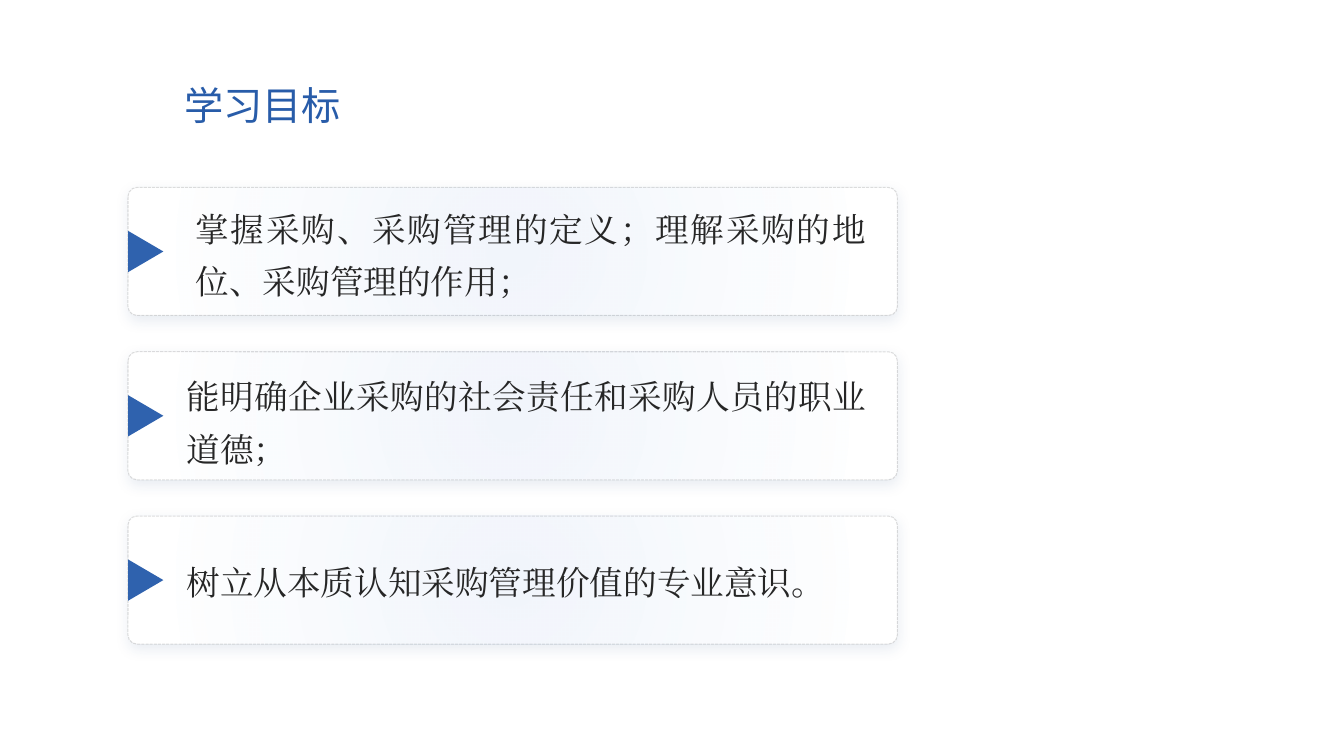
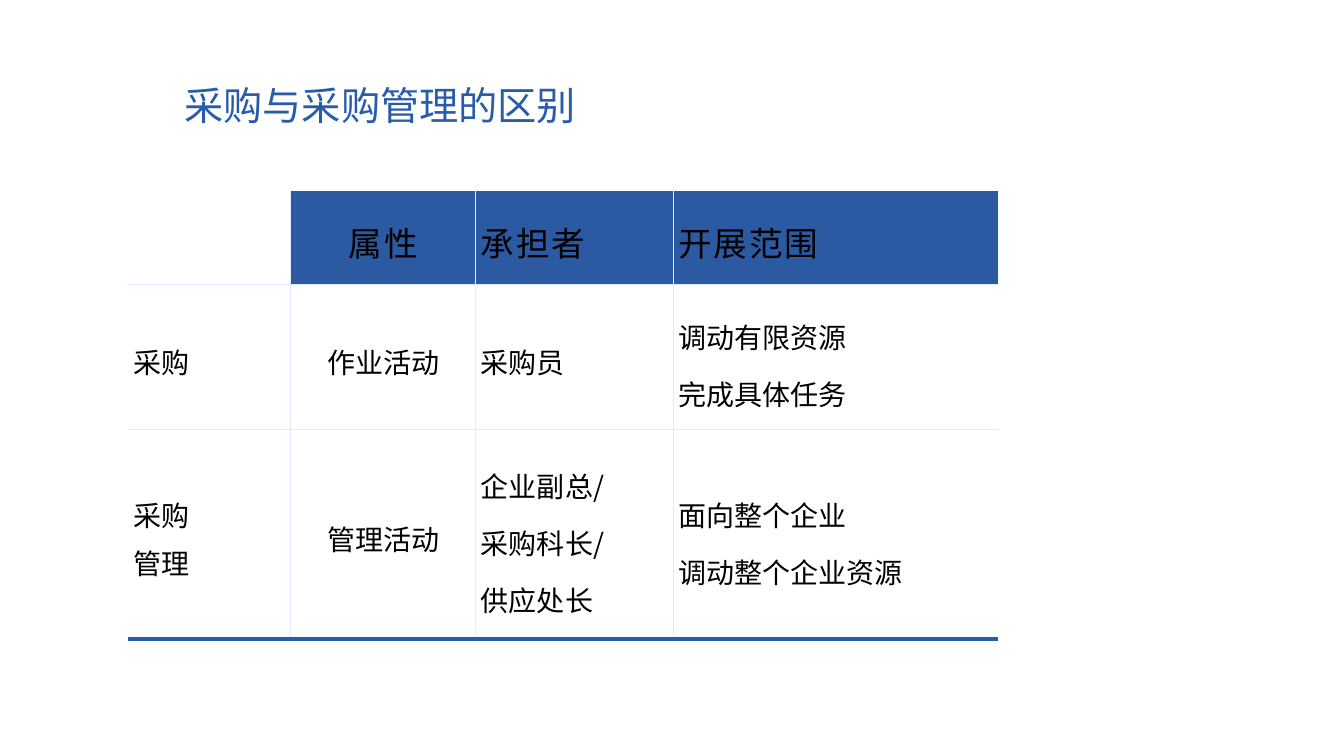
from pptx import Presentation
from pptx.dml.color import RGBColor
from pptx.enum.dml import MSO_LINE
from pptx.enum.shapes import MSO_SHAPE
from pptx.enum.text import MSO_ANCHOR, PP_ALIGN
from pptx.oxml import parse_xml
from pptx.oxml.ns import nsdecls, qn
from pptx.util import Inches, Pt

ROUNDED, TRIANGLE = MSO_SHAPE.ROUNDED_RECTANGLE, MSO_SHAPE.ISOSCELES_TRIANGLE
MIDDLE, BOTTOM = MSO_ANCHOR.MIDDLE, MSO_ANCHOR.BOTTOM
LEFT, CENTER, JUSTIFY = PP_ALIGN.LEFT, PP_ALIGN.CENTER, PP_ALIGN.JUSTIFY
SHORT_DASH = MSO_LINE.SQUARE_DOT

SANS, TABLE_FONT, SERIF = "Noto Sans CJK SC", "Noto Sans CJK JP", "Times New Roman"
BLUE, HEADER_BLUE, MARKER_BLUE = "285CA9", "2B5AA2", "2F62AE"
GLOW, SHADOW, GRAY, RULE = "769EDA", "234A82", "595959", "DDEDFF"
INK, BLACK, WHITE = "262626", "000000", "FFFFFF"
NO_STYLE = "{2D5ABB26-0587-4C30-8999-92F81FD0307C}"

MARGIN = 1.27
CARD_TOP, CARD_WIDTH, CARD_HEIGHT, CARD_STEP = 1.86, 7.63, 1.27, 1.63
MARKER_WIDTH, MARKER_HEIGHT = 0.41, 0.35
TEXT_RIGHT = 8.59

GOALS_TITLE = "学习目标"
# text, left, top, height, line spacing
GOALS = [
    ("掌握采购、采购管理的定义；理解采购的地位、采购管理的作用；", 1.94, 1.81, 1.18, 1.3),
    ("能明确企业采购的社会责任和采购人员的职业道德；", 1.85, 3.6, 1.05, 1.3),
    ("树立从本质认知采购管理价值的专业意识。", 1.85, 5.37, 0.6, 1),
]

COMPARE_TITLE = "采购与采购管理的区别"
COLUMNS = [1.61, 1.84, 1.96, 3.22]
ROWS = [0.93, 1.44, 2.08]
COMPARE = [
    [[], ["属性"], ["承担者"], ["开展范围"]],
    [["采购"], ["作业活动"], ["采购员"], ["调动有限资源", "完成具体任务"]],
    [["采购", "管理"], ["管理活动"], ["企业副总/", "采购科长/", "供应处长"],
     ["面向整个企业", "调动整个企业资源"]],
]


def rgb(value):
    return RGBColor.from_string(value)


def add_span(para, text, size, color, font):
    """Add a run whose Latin and East Asian fonts agree."""
    span = para.add_run()
    span.text = text
    span.font.size, span.font.name = Pt(size), font
    span.font.color.rgb = rgb(color)
    east_asian = span._r.get_or_add_rPr().makeelement(qn("a:ea"), {"typeface": font})
    span.font._element.find(qn("a:latin")).addnext(east_asian)
    return span


def add_page(deck, title, width):
    page = deck.slides.add_slide(deck.slide_layouts[5])
    box = page.shapes.title
    box.left, box.top, box.width, box.height = map(Inches, (1.73, 0.72, width, 0.64))
    box.text_frame.vertical_anchor = MIDDLE
    para = box.text_frame.paragraphs[0]
    para.alignment = LEFT
    add_span(para, title, 28, BLUE, SANS)
    return page


def add_plain_shape(page, kind, left, top, width, height, color=None):
    shape = page.shapes.add_shape(kind, *map(Inches, (left, top, width, height)))
    shape.shadow.inherit = False
    shape.line.fill.background()
    if color:
        shape.fill.solid()
        shape.fill.fore_color.rgb = rgb(color)
    else:
        shape.fill.background()
    return shape


def add_card(page, top):
    """Add a dashed card with a soft shadow and a round glow on top."""
    place = (ROUNDED, MARGIN, top, CARD_WIDTH, CARD_HEIGHT)
    card = add_plain_shape(page, *place, WHITE)
    glow = add_plain_shape(page, *place)
    card.adjustments[0] = glow.adjustments[0] = 0.07

    card.line.color.rgb = rgb(GRAY)
    card.line.width, card.line.dash_style = Pt(0.75), SHORT_DASH
    line_color = card.line._ln.find(".//" + qn("a:srgbClr"))
    line_color.append(parse_xml(f'<a:alpha {nsdecls("a")} val="20000"/>'))
    card._element.spPr.find(qn("a:effectLst")).append(parse_xml(
        f'<a:outerShdw {nsdecls("a")} blurRad="{Pt(10)}" dist="{Pt(3)}" dir="5400000"'
        f' algn="t" rotWithShape="0"><a:srgbClr val="{SHADOW}"><a:alpha val="10000"/>'
        '</a:srgbClr></a:outerShdw>'))

    stops = "".join(
        f'<a:gs pos="{position}"><a:srgbClr val="{GLOW}"><a:alpha val="{alpha}"/>'
        '</a:srgbClr></a:gs>' for position, alpha in ((0, 10000), (88000, 0)))
    properties = glow._element.spPr
    properties.replace(properties.find(qn("a:noFill")), parse_xml(
        f'<a:gradFill {nsdecls("a")}><a:gsLst>{stops}</a:gsLst><a:path path="circle">'
        '<a:fillToRect l="50000" t="50000" r="50000" b="50000"/></a:path></a:gradFill>'))


def add_marker(page, card_top):
    """Add a triangle pointing right from the card's left edge."""
    center_x = MARGIN + MARKER_HEIGHT / 2
    center_y = card_top + CARD_HEIGHT / 2
    marker = add_plain_shape(page, TRIANGLE, center_x - MARKER_WIDTH / 2,
                             center_y - MARKER_HEIGHT / 2,
                             MARKER_WIDTH, MARKER_HEIGHT, MARKER_BLUE)
    marker.rotation = 90


def add_goal_text(page, text, left, top, height, spacing):
    box = page.shapes.add_textbox(*map(Inches, (left, top, TEXT_RIGHT - left, height)))
    frame = box.text_frame
    frame.word_wrap, frame.vertical_anchor = True, BOTTOM
    frame.margin_left = frame.margin_right = frame.margin_top = frame.margin_bottom = 0
    para = frame.paragraphs[0]
    para.alignment, para.line_spacing = JUSTIFY, spacing
    add_span(para, text, 24, INK, SERIF)


def set_borders(cell, **sides):
    """Draw the named sides (L, R, T, B), each given as (colour, points)."""
    properties = cell._tc.get_or_add_tcPr()
    lines = [(side, sides[side]) for side in "LRTB" if side in sides]
    for index, (side, (color, points)) in enumerate(lines):
        properties.insert(index, parse_xml(
            f'<a:ln{side} {nsdecls("a")} w="{Pt(points)}"><a:solidFill>'
            f'<a:srgbClr val="{color}"/></a:solidFill></a:ln{side}>'))


def fill_cell(cell, lines, row, column):
    header = row == 0
    cell.fill.solid()
    cell.fill.fore_color.rgb = rgb(HEADER_BLUE if header and column else WHITE)
    cell.vertical_anchor = MIDDLE
    cell.margin_left = cell.margin_right = Inches(0.05)
    cell.margin_top = cell.margin_bottom = Inches(0.05)
    for index, text in enumerate(lines):
        frame = cell.text_frame
        para = frame.add_paragraph() if index else frame.paragraphs[0]
        para.alignment = CENTER if column == 1 else LEFT
        para.line_spacing = 1.4 if column and len(lines) > 1 else 1.2
        span = add_span(para, text, 24 if header else 20, BLACK, TABLE_FONT)
        if header:
            span.font._element.set("spc", "130")

    sides = {"B": (BLUE, 3) if row == len(ROWS) - 1 else (RULE, 1)}
    if row:
        sides["T"] = (RULE, 1)
    if column:
        sides["L"] = (RULE, 1)
    if column < len(COLUMNS) - 1:
        sides["R"] = (RULE, 1)
    set_borders(cell, **sides)


def build_goals(deck):
    page = add_page(deck, GOALS_TITLE, 2.68)
    for index, goal in enumerate(GOALS):
        top = CARD_TOP + index * CARD_STEP
        add_card(page, top)
        add_marker(page, top)
        add_goal_text(page, *goal)


def build_comparison(deck):
    page = add_page(deck, COMPARE_TITLE, 4.68)
    place = map(Inches, (MARGIN, 1.89, sum(COLUMNS), sum(ROWS)))
    table = page.shapes.add_table(len(ROWS), len(COLUMNS), *place).table
    table.first_row = table.horz_banding = False
    table._tbl.tblPr.find(qn("a:tableStyleId")).text = NO_STYLE
    for column, width in enumerate(COLUMNS):
        table.columns[column].width = Inches(width)
    for row, height in enumerate(ROWS):
        table.rows[row].height = Inches(height)
        for column, lines in enumerate(COMPARE[row]):
            fill_cell(table.cell(row, column), lines, row, column)


def main():
    deck = Presentation()
    deck.slide_width, deck.slide_height = Inches(13.33), Inches(7.5)
    build_goals(deck)
    build_comparison(deck)
    deck.save("out.pptx")


if __name__ == "__main__":
    main()
